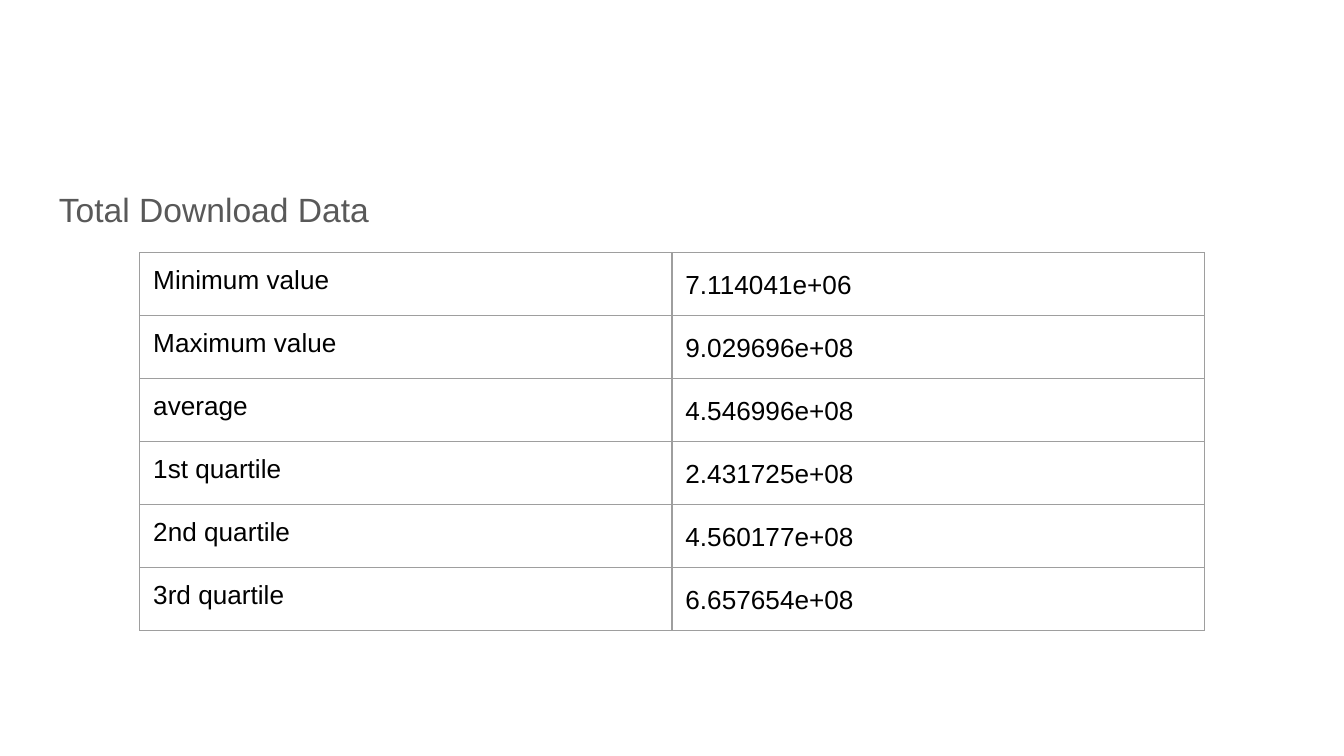
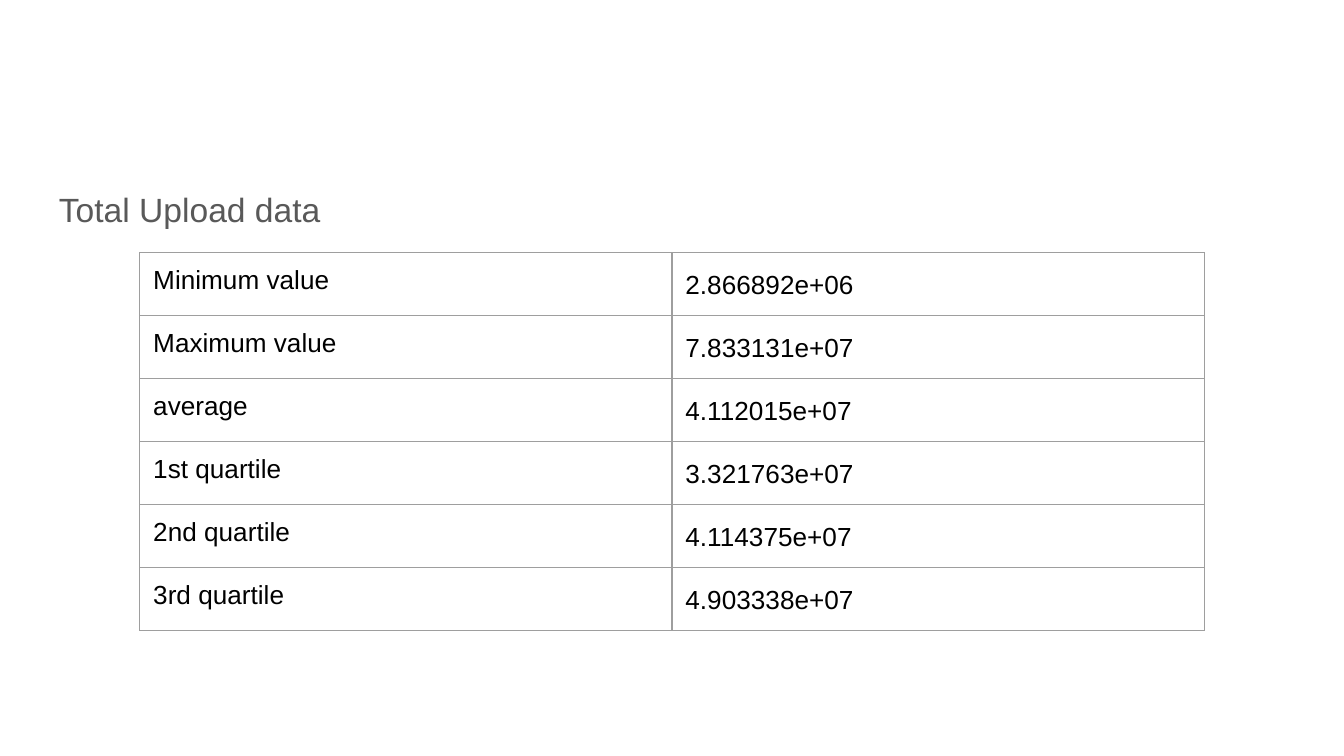
from dataclasses import dataclass

from lxml.etree import SubElement
from pptx import Presentation
from pptx.dml.color import RGBColor as Color
from pptx.enum.text import MSO_ANCHOR as Anchor
from pptx.oxml import parse_xml
from pptx.oxml.ns import nsdecls, qn
from pptx.util import Inches, Pt


@dataclass(frozen=True)
class Theme:
    font: str = "Arial"
    background: str = "FFFFFF"
    heading_color: str = "595959"
    cell_color: str = "000000"
    border_color: str = "9E9E9E"
    heading_size: int = 18
    cell_size: int = 14
    border_width: float = 0.75
    line_spacing: float = 1.15
    inset: float = 0.1
    table_style: str = "{2D5ABB26-0587-4C30-8999-92F81FD0307C}"  # no style, no grid


THEME = Theme()
WIDTH = Inches(10)
HEIGHT = WIDTH * 9 // 16

# Boxes as percentages of the slide: left, top, width, height
BODY_BOX = (3.4, 22.4, 93.2, 66.5)
TABLE_BOX = (10.4, 33.42, 79.2, 47.47)
ROW_SHARE = 7.4  # minimum row height, as a percentage of the slide

LABELS = ["Minimum value", "Maximum value", "average",
          "1st quartile", "2nd quartile", "3rd quartile"]

SLIDES = [
    ("Total Download Data", 0,
     ["7.114041e+06", "9.029696e+08", "4.546996e+08",
      "2.431725e+08", "4.560177e+08", "6.657654e+08"]),
    ("Total Upload data", 12,
     ["2.866892e+06", "7.833131e+07", "4.112015e+07",
      "3.321763e+07", "4.114375e+07", "4.903338e+07"]),
]


def place(box):
    """Turn percentages of the slide into lengths."""
    return [int(extent * share / 100)
            for extent, share in zip((WIDTH, HEIGHT) * 2, box)]


def apply(target, values):
    for name, value in values.items():
        setattr(target, name, value)


def margins():
    return {f"margin_{side}": Inches(THEME.inset)
            for side in ("left", "top", "right", "bottom")}


def write(text_frame, text, size, color, paragraph_format):
    """Write one styled paragraph and return its run."""
    paragraph = text_frame.paragraphs[0]
    apply(paragraph, {"space_before": Pt(0), "space_after": Pt(0),
                      **paragraph_format})
    run = paragraph.add_run()
    run.text = text
    apply(run.font, {"name": THEME.font, "size": Pt(size)})
    run.font.color.rgb = Color.from_string(color)
    # The paragraph mark takes the size of the text
    SubElement(paragraph._p, qn("a:endParaRPr"), sz=str(size * 100))
    return run


def highlight(run):
    """Put the background colour behind a run."""
    mark = parse_xml(f'<a:highlight {nsdecls("a")}>'
                     f'<a:srgbClr val="{THEME.background}"/></a:highlight>')
    run.font._element.find(qn("a:solidFill")).addnext(mark)


def add_borders(cell):
    properties = cell._tc.get_or_add_tcPr()
    for side in "LRTB":
        line = SubElement(properties, qn(f"a:ln{side}"),
                          w=str(Pt(THEME.border_width)))
        fill = SubElement(line, qn("a:solidFill"))
        SubElement(fill, qn("a:srgbClr"), val=THEME.border_color)


def add_heading(slide, box, text, space_after):
    frame = slide.shapes.add_textbox(*place(box)).text_frame
    apply(frame, {"word_wrap": True, "vertical_anchor": Anchor.TOP, **margins()})
    write(frame, text, THEME.heading_size, THEME.heading_color,
          {"line_spacing": THEME.line_spacing, "space_after": Pt(space_after)})


def add_statistics(slide, box, values):
    left, top, width, height = place(box)
    shape = slide.shapes.add_table(len(LABELS), 2, left, top, width, height)
    table = shape.table
    apply(table, {"first_row": False, "horz_banding": False})
    table._tbl.tblPr.find(qn("a:tableStyleId")).text = THEME.table_style
    for row in table.rows:
        row.height = int(HEIGHT * ROW_SHARE / 100)
    shape.height = height

    for row, pair in zip(table.rows, zip(LABELS, values)):
        for column, (cell, text) in enumerate(zip(row.cells, pair)):
            apply(cell, {"vertical_anchor": Anchor.TOP, **margins()})
            add_borders(cell)
            cell.fill.background()
            is_value = column == 1
            spacing = {"line_spacing": THEME.line_spacing} if is_value else {}
            run = write(cell.text_frame, text, THEME.cell_size,
                        THEME.cell_color, spacing)
            if is_value:
                highlight(run)


def add_summary_slide(presentation, heading, space_after, values):
    slide = presentation.slides.add_slide(presentation.slide_layouts[6])
    background = slide.background.fill
    background.solid()
    background.fore_color.rgb = Color.from_string(THEME.background)
    add_heading(slide, BODY_BOX, heading, space_after)
    add_statistics(slide, TABLE_BOX, values)


presentation = Presentation()
apply(presentation, {"slide_width": WIDTH, "slide_height": HEIGHT})
for content in SLIDES:
    add_summary_slide(presentation, *content)
presentation.save("out.pptx")
